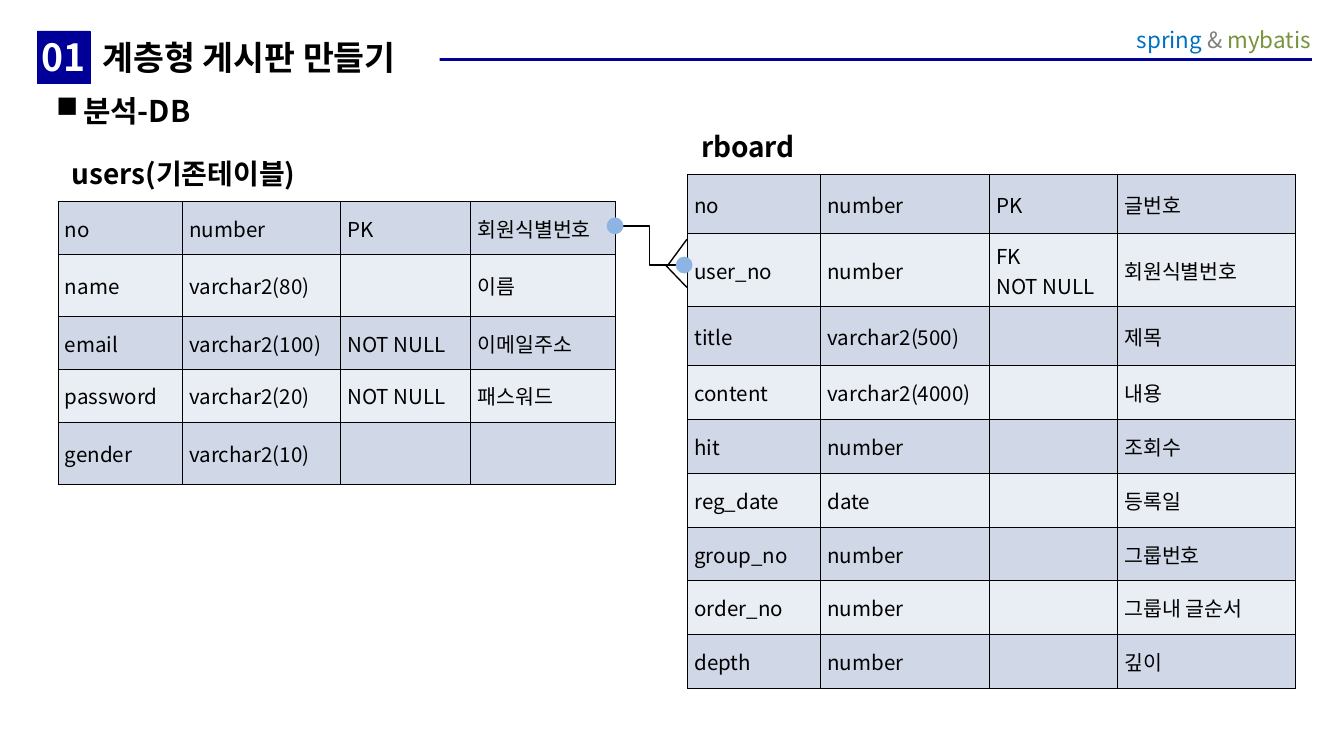
from pptx import Presentation
from pptx.dml.color import RGBColor
from pptx.enum.shapes import MSO_CONNECTOR, MSO_SHAPE
from pptx.enum.text import MSO_ANCHOR, MSO_AUTO_SIZE, PP_ALIGN
from pptx.oxml.ns import qn
from pptx.util import Pt
from lxml.etree import SubElement

FONT = "Noto Sans CJK KR"
BLACK = RGBColor(0x00, 0x00, 0x00)
WHITE = RGBColor(0xFF, 0xFF, 0xFF)
NAVY = RGBColor(0x00, 0x00, 0x99)
BLUE = RGBColor(0x00, 0x70, 0xC0)
GRAY = RGBColor(0x7F, 0x7F, 0x7F)
GREEN = RGBColor(0x77, 0x93, 0x3C)
DOT_BLUE = RGBColor(0x8E, 0xB4, 0xE3)
BANDS = (RGBColor(0xD0, 0xD8, 0xE8), RGBColor(0xE9, 0xED, 0xF4))

USERS = [
    ("no", "number", "PK", "회원식별번호"),
    ("name", "varchar2(80)", "", "이름"),
    ("email", "varchar2(100)", "NOT NULL", "이메일주소"),
    ("password", "varchar2(20)", "NOT NULL", "패스워드"),
    ("gender", "varchar2(10)", "", ""),
]
RBOARD = [
    ("no", "number", "PK", "글번호"),
    ("user_no", "number", "FK\nNOT NULL", "회원식별번호"),
    ("title", "varchar2(500)", "", "제목"),
    ("content", "varchar2(4000)", "", "내용"),
    ("hit", "number", "", "조회수"),
    ("reg_date", "date", "", "등록일"),
    ("group_no", "number", "", "그룹번호"),
    ("order_no", "number", "", "그룹내 글순서"),
    ("depth", "number", "", "깊이"),
]


def add_run(paragraph, text, size, color=BLACK, bold=False):
    run = paragraph.add_run()
    run.text = text
    run.font.size = Pt(size)
    run.font.bold = bold
    run.font.name = FONT
    run.font.color.rgb = color
    SubElement(run.font._element, qn("a:ea"), typeface=FONT)


def set_frame(frame, margins, anchor=MSO_ANCHOR.TOP):
    """Margins are left, top, right, bottom in points."""
    frame.auto_size = MSO_AUTO_SIZE.NONE
    frame.word_wrap = True
    frame.vertical_anchor = anchor
    (frame.margin_left, frame.margin_top,
     frame.margin_right, frame.margin_bottom) = map(Pt, margins)


def place(shape, left, top, width, height):
    shape.left, shape.top = Pt(left), Pt(top)
    shape.width, shape.height = Pt(width), Pt(height)


def set_bullet(paragraph, character, indent):
    properties = paragraph._p.get_or_add_pPr()
    properties.set("marL", str(Pt(indent)))
    properties.set("indent", str(-Pt(indent)))
    if character:
        color = SubElement(properties, qn("a:buClr"))
        SubElement(color, qn("a:srgbClr"), val=str(BLACK))
        SubElement(properties, qn("a:buChar"), char=character)
    else:
        SubElement(properties, qn("a:buNone"))


def add_line(shapes, start, end, color=BLACK, width=0.75, kind=MSO_CONNECTOR.STRAIGHT):
    line = shapes.add_connector(kind, *map(Pt, start + end))
    line.line.color.rgb = color
    line.line.width = Pt(width)
    SubElement(line._element.spPr, qn("a:effectLst"))
    return line


def add_dot(shapes, left, top):
    dot = shapes.add_shape(MSO_SHAPE.OVAL, Pt(left), Pt(top), Pt(9), Pt(9))
    dot.shadow.inherit = False
    dot.fill.solid()
    dot.fill.fore_color.rgb = DOT_BLUE
    dot.line.fill.background()


def style_cell(cell, fill, edge_colors):
    """Edge colours run left, right, top, bottom; borders precede the fill."""
    cell.vertical_anchor = MSO_ANCHOR.MIDDLE
    properties = cell._tc.get_or_add_tcPr()
    for side, color in zip("LRTB", edge_colors):
        border = SubElement(properties, qn(f"a:ln{side}"), w=str(Pt(0.45)))
        solid = SubElement(border, qn("a:solidFill"))
        SubElement(solid, qn("a:srgbClr"), val=str(color))
    cell.fill.solid()
    cell.fill.fore_color.rgb = fill


def fill_cell(cell, text):
    cell.margin_left = cell.margin_right = Pt(3.6)
    cell.margin_top = cell.margin_bottom = Pt(3.6)
    if not text:
        SubElement(cell.text_frame.paragraphs[0]._p, qn("a:endParaRPr"), sz="1100")
        return
    for index, line in enumerate(text.split("\n")):
        frame = cell.text_frame
        paragraph = frame.add_paragraph() if index else frame.paragraphs[0]
        add_run(paragraph, line, 11)


def add_schema_table(slide, name, records, left, top, widths, heights):
    """A merged name row above one banded row for each database column."""
    frame = slide.shapes.add_table(len(heights), len(widths), Pt(left), Pt(top),
                                   Pt(sum(widths)), Pt(sum(heights)))
    table = frame.table
    table.first_row = table.horz_banding = False
    for column, width in zip(table.columns, widths):
        column.width = Pt(width)
    for row, height in zip(table.rows, heights):
        row.height = Pt(height)

    heading = table.cell(0, 0)
    heading.merge(table.cell(0, len(widths) - 1))
    for column in range(len(widths)):
        style_cell(table.cell(0, column), WHITE, (WHITE, WHITE, WHITE, BLACK))
    add_run(heading.text_frame.paragraphs[0], name, 15, bold=True)

    for row, record in enumerate(records, 1):
        for column, text in enumerate(record):
            cell = table.cell(row, column)
            style_cell(cell, BANDS[(row - 1) % 2], [BLACK] * 4)
            fill_cell(cell, text)


def add_header(slide):
    rule = add_line(slide.shapes, (702.8, 31.7), (51, 31.7), NAVY, 1.5)
    slide.shapes._spTree.insert(2, rule._element)

    title, number = slide.placeholders
    place(title, 49, 16.5, 186.5, 28)
    title.fill.solid()
    title.fill.fore_color.rgb = WHITE
    set_frame(title.text_frame, (5.8, 2.9, 0, 2.9), MSO_ANCHOR.MIDDLE)
    paragraph = title.text_frame.paragraphs[0]
    paragraph.alignment = PP_ALIGN.LEFT
    add_run(paragraph, "계층형 게시판 만들기", 18, bold=True)

    place(number, 20.2, 16.5, 28, 28)
    number.fill.solid()
    number.fill.fore_color.rgb = NAVY
    number.line.color.rgb = NAVY
    number.line.width = Pt(0.25)
    set_frame(number.text_frame, (0, 0, 0, 0), MSO_ANCHOR.MIDDLE)
    paragraph = number.text_frame.paragraphs[0]
    paragraph.alignment = PP_ALIGN.CENTER
    paragraph.space_before = Pt(5)
    set_bullet(paragraph, None, 0)
    add_run(paragraph, "01", 20, WHITE, True)

    topic = slide.shapes.add_textbox(Pt(598.3), Pt(8), Pt(111), Pt(40))
    set_frame(topic.text_frame, (7.2, 5.8, 7.2, 5.8))
    paragraph = topic.text_frame.paragraphs[0]
    paragraph.alignment = PP_ALIGN.RIGHT
    for text, color in (("spring ", BLUE), ("& ", GRAY), ("mybatis", GREEN)):
        add_run(paragraph, text, 12, color)


def add_subtitle(slide):
    box = slide.shapes.add_textbox(Pt(23), Pt(46), Pt(620.6), Pt(31.7))
    set_frame(box.text_frame, (7.2, 3.6, 7.2, 3.6))
    paragraph = box.text_frame.paragraphs[0]
    paragraph.space_before = Pt(4)
    set_bullet(paragraph, "■", 14.4)
    add_run(paragraph, "분석-DB", 16, bold=True)


def add_relation(slide):
    """One-to-many link from users.no to rboard.user_no, with a crow's foot."""
    shapes = slide.shapes.add_group_shape().shapes
    add_line(shapes, (334, 121), (362, 142), kind=MSO_CONNECTOR.ELBOW)
    add_dot(shapes, 325, 116.5)
    add_dot(shapes, 362, 137.5)
    add_line(shapes, (357.5, 142.5), (368, 128.2))
    add_line(shapes, (356.5, 142), (368, 154))


def main():
    presentation = Presentation()
    presentation.slide_width, presentation.slide_height = Pt(720), Pt(405)
    slide = presentation.slides.add_slide(presentation.slide_layouts[1])
    add_header(slide)
    add_schema_table(slide, "rboard", RBOARD, 368.4, 62, (71.3, 90.5, 68.5, 95.2),
                     [31.6, 31.6, 36.5, 31.6] + [28.85] * 6)
    add_subtitle(slide)
    add_schema_table(slide, "users(기존테이블)", USERS, 31.2, 76.4, (66.6, 84.7, 69.6, 77.4),
                     (31.6, 28.4, 33.2, 28.4, 28.4, 33.2))
    add_relation(slide)
    presentation.save("out.pptx")


if __name__ == "__main__":
    main()
